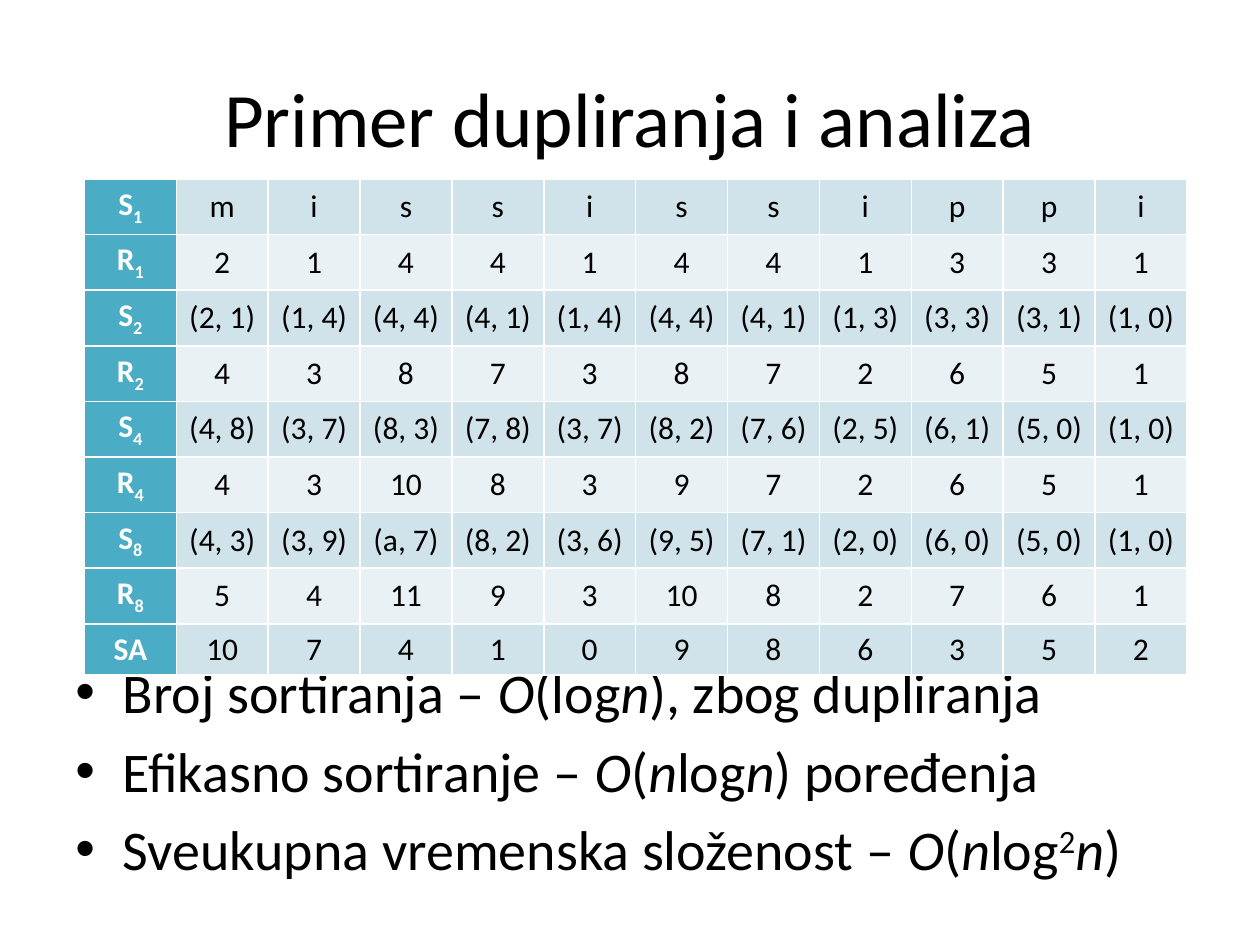
from lxml.etree import SubElement
from pptx import Presentation
from pptx.dml.color import RGBColor
from pptx.enum.text import MSO_ANCHOR as Anchor, PP_ALIGN as Align
from pptx.oxml.ns import qn
from pptx.util import Pt

BLACK = RGBColor(0x00, 0x00, 0x00)
WHITE = RGBColor(0xFF, 0xFF, 0xFF)
TEAL = RGBColor(0x4B, 0xAC, 0xC6)
BANDS = RGBColor(0xD0, 0xE3, 0xEA), RGBColor(0xE9, 0xF1, 0xF5)


def add_styled_run(paragraph, text, size, color=BLACK, bold=False, italic=False, baseline=0):
    run = paragraph.add_run()
    run.text = text
    font = run.font
    font.name, font.size, font.bold, font.italic = "Calibri", Pt(size), bold, italic
    font.color.rgb = color
    if baseline:
        run._r.get_or_add_rPr().set("baseline", str(baseline * 1000))


def add_white_borders(cell):
    properties = cell._tc.get_or_add_tcPr()
    for side in ("lnL", "lnR", "lnT", "lnB"):
        line = SubElement(properties, qn(f"a:{side}"), w=str(Pt(1)))
        SubElement(SubElement(line, qn("a:solidFill")), qn("a:srgbClr"), val=str(WHITE))


deck = Presentation()
deck.slide_width, deck.slide_height = Pt(720), Pt(540)
slide = deck.slides.add_slide(deck.slide_layouts[6])

# Title
title = slide.shapes.add_textbox(Pt(36), Pt(21.6), Pt(648), Pt(90)).text_frame
title.word_wrap = True
title.vertical_anchor = Anchor.MIDDLE
title.paragraphs[0].alignment = Align.CENTER
add_styled_run(title.paragraphs[0], "Primer dupliranja i analiza", 44)

# Conclusions: odd-numbered pieces between asterisks are italic, "²" is a raised 2
conclusions = [
    "Broj sortiranja – *O*(log*n*), zbog dupliranja",
    "Efikasno sortiranje – *O*(*n*log*n*) poređenja",
    "Sveukupna vremenska složenost – *O*(*n*log*^2*n*)",
]
conclusions[2] = "Sveukupna vremenska složenost – *O*(*n*log^2*n*)"
body = slide.shapes.add_textbox(Pt(36), Pt(372.24), Pt(648), Pt(144)).text_frame
body.word_wrap = True
for number, conclusion in enumerate(conclusions):
    paragraph = body.add_paragraph() if number else body.paragraphs[0]
    paragraph.space_before = Pt(6.4)
    properties = paragraph._p.get_or_add_pPr()
    properties.set("marL", str(Pt(27)))
    properties.set("indent", str(Pt(-27)))
    SubElement(properties, qn("a:buFont"), typeface="Arial")
    SubElement(properties, qn("a:buChar"), char="•")
    for piece_number, piece in enumerate(conclusion.split("*")):
        plain, _, exponent = piece.partition("^")
        add_styled_run(paragraph, plain, 32, italic=piece_number % 2 == 1)
        if exponent:
            add_styled_run(paragraph, exponent, 32, baseline=30)

# Doubling steps: label, subscript, one value per letter
steps = [
    ("S", "1", "m i s s i s s i p p i".split()),
    ("R", "1", "2 1 4 4 1 4 4 1 3 3 1".split()),
    ("S", "2", "2,1 1,4 4,4 4,1 1,4 4,4 4,1 1,3 3,3 3,1 1,0".split()),
    ("R", "2", "4 3 8 7 3 8 7 2 6 5 1".split()),
    ("S", "4", "4,8 3,7 8,3 7,8 3,7 8,2 7,6 2,5 6,1 5,0 1,0".split()),
    ("R", "4", "4 3 10 8 3 9 7 2 6 5 1".split()),
    ("S", "8", "4,3 3,9 a,7 8,2 3,6 9,5 7,1 2,0 6,0 5,0 1,0".split()),
    ("R", "8", "5 4 11 9 3 10 8 2 7 6 1".split()),
    ("SA", "", "10 7 4 1 0 9 8 6 3 5 2".split()),
]
suffix_table = slide.shapes.add_table(
    len(steps), 12, Pt(48.24), Pt(102.24), Pt(630), Pt(262.8)).table
suffix_table.first_row = suffix_table.horz_banding = False
for column in suffix_table.columns:
    column.width = Pt(52.5)
for row_number, (label, subscript, values) in enumerate(steps):
    suffix_table.rows[row_number].height = Pt(29.2)
    for column_number, value in enumerate([label] + values):
        cell = suffix_table.cell(row_number, column_number)
        is_label = column_number == 0
        add_white_borders(cell)
        cell.fill.solid()
        cell.fill.fore_color.rgb = TEAL if is_label else BANDS[row_number % 2]
        cell.vertical_anchor = Anchor.MIDDLE
        paragraph = cell.text_frame.paragraphs[0]
        paragraph.alignment = Align.CENTER
        if "," in value:
            value = f"({value.replace(',', ', ')})"
        add_styled_run(paragraph, value, 18, WHITE if is_label else BLACK, bold=is_label)
        if is_label and subscript:
            add_styled_run(paragraph, subscript, 18, WHITE, bold=True, baseline=-25)

deck.save("out.pptx")
